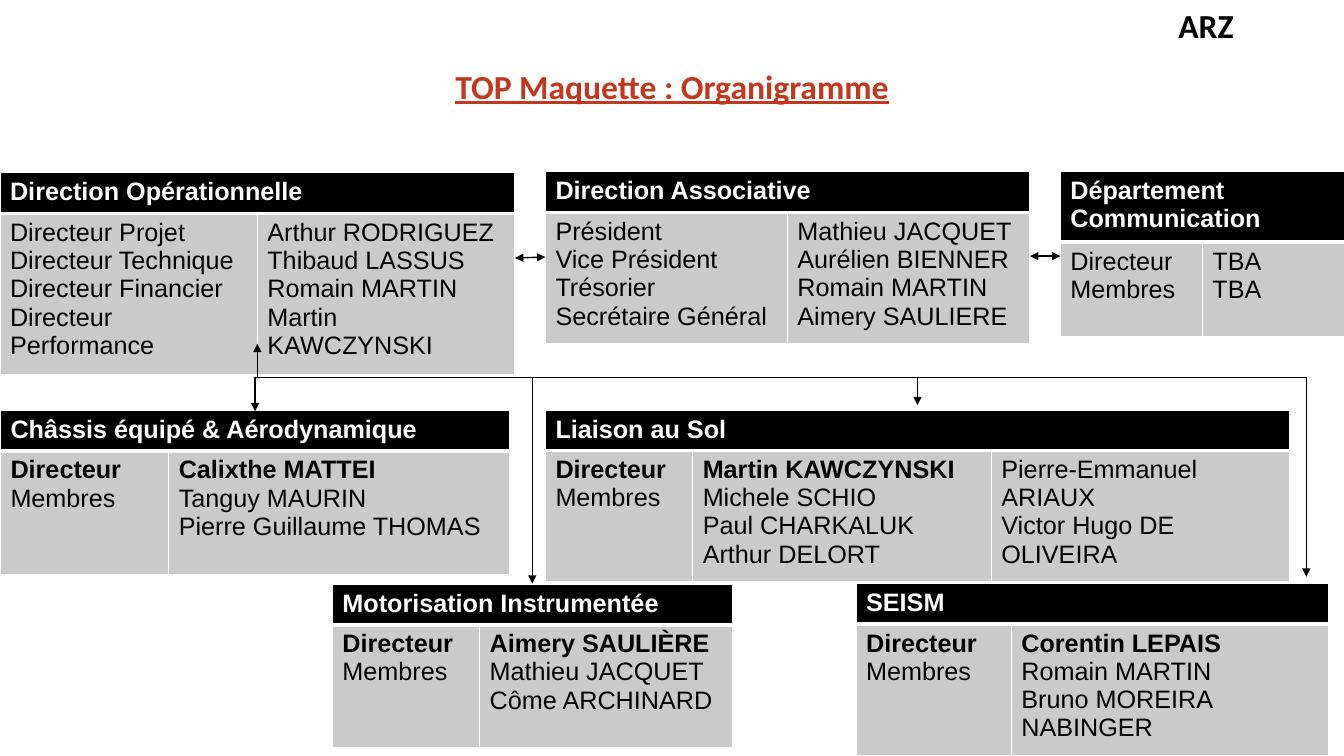
from dataclasses import dataclass

from lxml.etree import SubElement
from pptx import Presentation
from pptx.dml.color import RGBColor
from pptx.enum.shapes import MSO_CONNECTOR
from pptx.enum.text import PP_ALIGN
from pptx.oxml.ns import qn
from pptx.util import Pt


@dataclass(frozen=True)
class Theme:
    ink: str = "000000"
    paper: str = "FFFFFF"
    accent: str = "C2381E"
    body_fill: str = "CACACA"
    heading_font: str = "Calibri"
    table_font: str = "Arial"
    heading_size: int = 24
    table_size: int = 18
    line_width: int = 1
    header_rule: int = 3


class OrgChart:
    def __init__(self, slide, theme):
        self.slide = slide
        self.theme = theme

    def add_text(self, paragraph, text, font_name, size, color, bold):
        run = paragraph.add_run()
        run.text = text
        run.font.name = font_name
        run.font.size = Pt(size)
        run.font.bold = bold
        run.font.color.rgb = RGBColor.from_string(color)
        return run

    def heading(self, text, left, top, width, height, color, underline=False):
        box = self.slide.shapes.add_textbox(Pt(left), Pt(top), Pt(width), Pt(height))
        box.text_frame.word_wrap = True
        paragraph = box.text_frame.paragraphs[0]
        paragraph.alignment = PP_ALIGN.CENTER
        run = self.add_text(paragraph, text, self.theme.heading_font,
                            self.theme.heading_size, color, True)
        run.font.underline = underline

    def cell(self, cell, fill, top_rule, bottom_rule):
        """Draw the four cell borders, then the fill, in schema order."""
        properties = cell._tc.get_or_add_tcPr()
        thin = self.theme.line_width
        for side, width in (("L", thin), ("R", thin), ("T", top_rule), ("B", bottom_rule)):
            border = SubElement(properties, qn(f"a:ln{side}"), w=str(Pt(width)))
            solid = SubElement(border, qn("a:solidFill"))
            SubElement(solid, qn("a:srgbClr"), val=self.theme.paper)
        cell.fill.solid()
        cell.fill.fore_color.rgb = RGBColor.from_string(fill)

    def lines(self, cell, texts, color, bold_count):
        """Add one paragraph per text, the first bold_count of them in bold."""
        frame = cell.text_frame
        for index, text in enumerate(texts):
            paragraph = frame.add_paragraph() if index else frame.paragraphs[0]
            self.add_text(paragraph, text, self.theme.table_font, self.theme.table_size,
                          color, index < bold_count)

    def team(self, name, left, top, widths, heights, columns, has_lead=False):
        """Add a team table; has_lead sets the director's row of names in bold."""
        theme = self.theme
        table = self.slide.shapes.add_table(
            2, len(widths), Pt(left), Pt(top), Pt(sum(widths)), Pt(sum(heights))).table
        for column, width in zip(table.columns, widths):
            column.width = Pt(width)
        for row, height in zip(table.rows, heights):
            row.height = Pt(height)
        for index, texts in enumerate(columns):
            self.cell(table.cell(0, index), theme.ink, theme.line_width, theme.header_rule)
            member_cell = table.cell(1, index)
            self.cell(member_cell, theme.body_fill, theme.header_rule, theme.line_width)
            self.lines(member_cell, texts, theme.ink, int(has_lead and index < 2))
        title = table.cell(0, 0)
        title.merge(table.cell(0, len(widths) - 1))
        self.lines(title, [name], theme.paper, 1)

    def link(self, start, end, ends=("tailEnd",)):
        connector = self.slide.shapes.add_connector(
            MSO_CONNECTOR.STRAIGHT, *(Pt(value) for value in (*start, *end)))
        connector.line.width = Pt(self.theme.line_width)
        connector.line.color.rgb = RGBColor.from_string(self.theme.ink)
        properties = connector.element.spPr
        outline = properties.find(qn("a:ln"))
        for end_name in ends:
            SubElement(outline, qn(f"a:{end_name}"), type="triangle")
        SubElement(properties, qn("a:effectLst"))


def main():
    presentation = Presentation()
    presentation.slide_width = Pt(960)
    presentation.slide_height = Pt(540)
    slide = presentation.slides.add_slide(presentation.slide_layouts[6])
    theme = Theme()
    chart = OrgChart(slide, theme)

    chart.heading("TOP Maquette : Organigramme", 0, 43.2, 960, 36, theme.accent, True)
    chart.heading("ARZ", 828.7, 0, 65.5, 36, theme.ink)

    roles = ["Directeur", "Membres"]
    management = [
        ("Direction Opérationnelle", 0, 123.4, (183.8, 183.8), (29.2, 108),
         [["Directeur Projet", "Directeur Technique", "Directeur Financier",
           "Directeur Performance"],
          ["Arthur RODRIGUEZ", "Thibaud LASSUS", "Romain MARTIN", "Martin KAWCZYNSKI"]]),
        ("Direction Associative", 389.6, 122.6, (172.8, 173.2), (29.2, 88),
         [["Président", "Vice Président", "Trésorier", "Secrétaire Général"],
          ["Mathieu JACQUET", "Aurélien BIENNER", "Romain MARTIN", "Aimery SAULIERE"]]),
        ("Département Communication", 757.4, 122.6, (101.5, 101.5), (47.5, 67.2),
         [roles, ["TBA", "TBA"]]),
    ]
    departments = [
        ("Châssis équipé & Aérodynamique", 0.3, 293, (120.2, 243.8), (29.2, 88),
         [roles, ["Calixthe MATTEI", "Tanguy MAURIN", "Pierre Guillaume THOMAS"]]),
        ("Liaison au Sol", 389.6, 293, (105.2, 213.3, 213.3), (27.3, 88),
         [roles,
          ["Martin KAWCZYNSKI", "Michele SCHIO", "Paul CHARKALUK", "Arthur DELORT"],
          ["Pierre-Emmanuel ARIAUX", "Victor Hugo DE OLIVEIRA"]]),
        ("SEISM", 611.5, 416.7, (110.9, 226.8), (29.2, 88),
         [roles, ["Corentin LEPAIS", "Romain MARTIN", "Bruno MOREIRA NABINGER"]]),
        ("Motorisation Instrumentée", 237.4, 417.4, (105.2, 180.7), (27.3, 88),
         [roles, ["Aimery SAULIÈRE", "Mathieu JACQUET", "Côme ARCHINARD"]]),
    ]
    for direction in management:
        chart.team(*direction)
    for department in departments:
        chart.team(*department, has_lead=True)

    both_ends = ("headEnd", "tailEnd")
    chart.link((367.9, 184.3), (389.5, 183.6), both_ends)
    chart.link((735.8, 183), (757.4, 183), both_ends)

    trunk_y, first_x, last_x = 269.5, 182.2, 933.1
    chart.link((first_x, trunk_y), (last_x, trunk_y), ())
    for x, tip_y in ((first_x, 293.7), (last_x, 412), (380.2, 416.9),
                     (655.4, 289.4), (183.8, 245.5)):
        chart.link((x, trunk_y), (x, tip_y))

    presentation.save("out.pptx")


if __name__ == "__main__":
    main()
